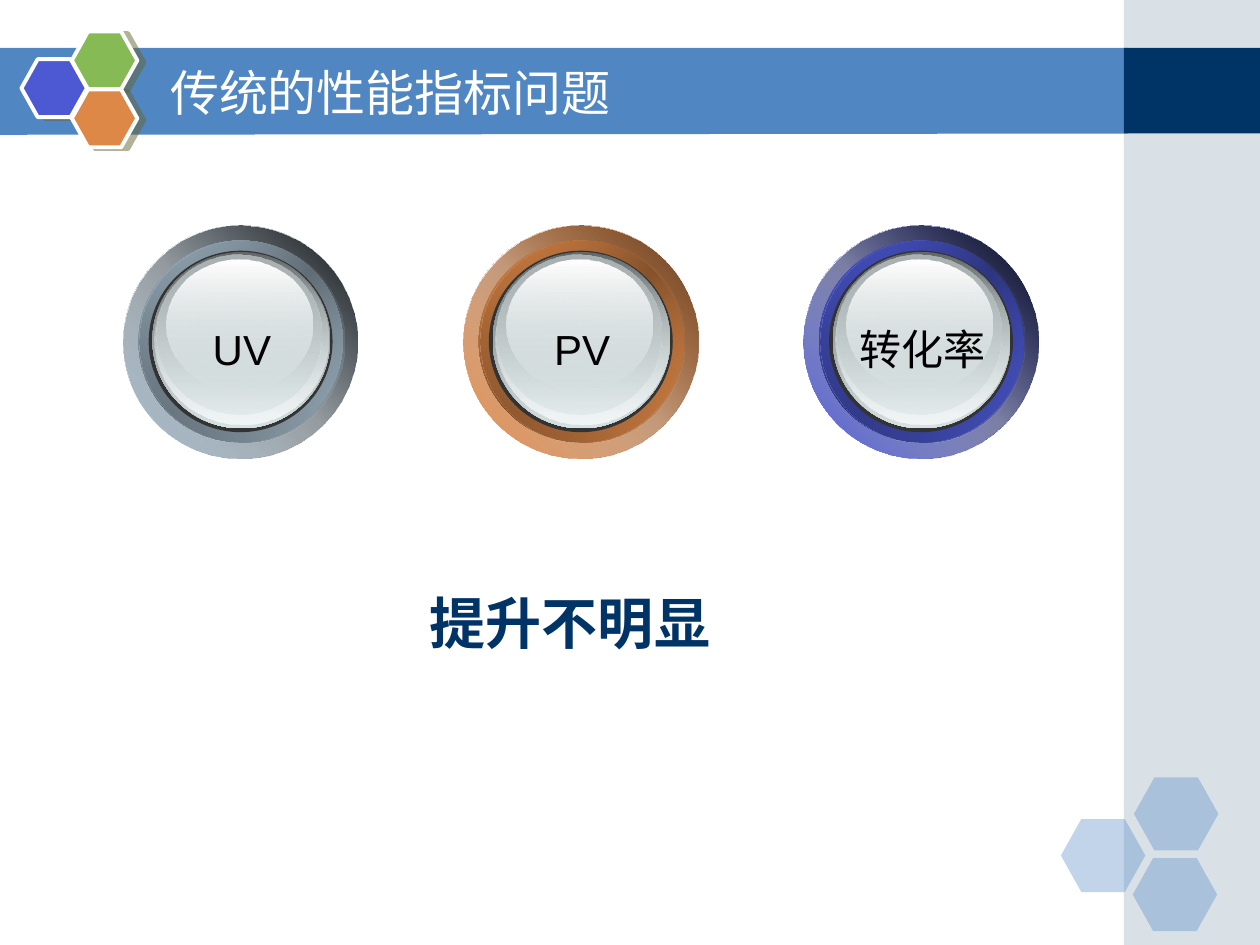
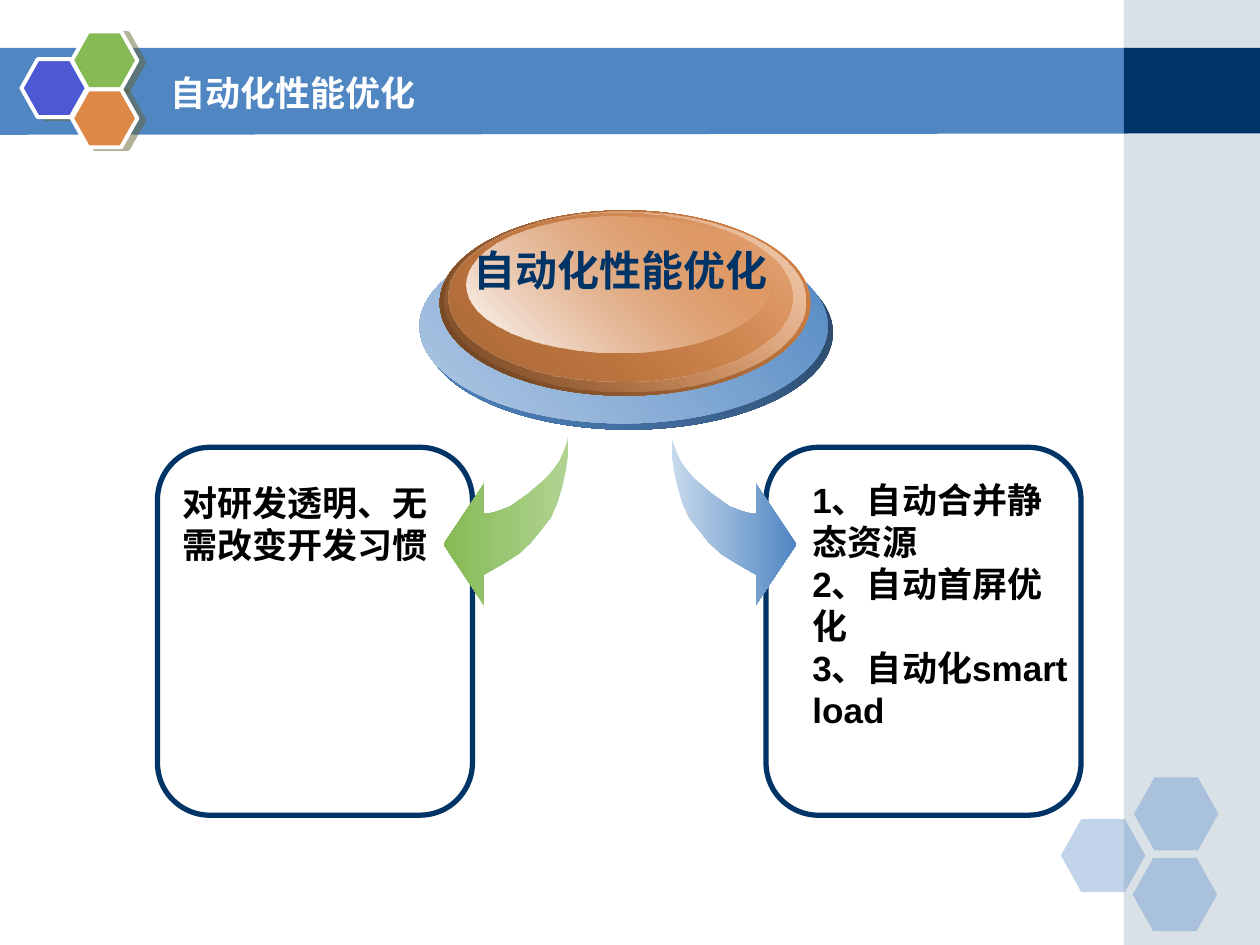
"""Builds two slides on web performance: weak old metrics and automatic tuning."""
import lxml.etree
import pptx
import pptx.dml.color
import pptx.enum.shapes
import pptx.enum.text
import pptx.oxml.ns
import pptx.util

PX = 9144
KIND = pptx.enum.shapes.MSO_SHAPE
ALIGN = pptx.enum.text.PP_ALIGN
ANCHOR = pptx.enum.text.MSO_ANCHOR
FIT = pptx.enum.text.MSO_AUTO_SIZE
qn = pptx.oxml.ns.qn

NAVY, BLUE, STEEL, WHITE, BLACK = "003366", "5086C2", "A0B5C4", "FFFFFF", "000000"
INDIGO, GREEN, ORANGE = "4C59D2", "85BA54", "DE8848"
RUST, GLASS = "673F21", "D6E1E2"

BAND = [(0, 38), (895, 38), (895, 106), (0, 107)]
SIDE = [((892, 0, 108, 750), (STEEL, 40)), ((892, 38, 108, 68), (NAVY, 100))]
FADED = [(842, 650), (900, 617), (899, 681)]
BADGE = [((17, 47), INDIGO), ((57, 25), GREEN), ((57, 71), ORANGE)]
TITLE = (125, 42, 733, 62)

METRICS = {
    "title": ("传统的性能指标问题", 28, False),
    "discs": [
        ("UV", STEEL, "57626A", "66737D", (BLACK, 90)),
        ("PV", ORANGE, "784A27", "8D562E", (RUST, 100)),
        ("转化率", INDIGO, "293072", "303985", (BLACK, 90)),
    ],
    "claim": "提升不明显",
}
TUNING = {
    "title": ("自动化性能优化", 20, True),
    "hub": "自动化性能优化",
    "boxes": [
        (125, (135, 377, 223, 77), ["对研发透明、无需改变开发习惯"]),
        (608, (635, 375, 223, 244),
         ["1、自动合并静态资源", "2、自动首屏优化", "3、自动化smart load"]),
    ],
}

DISC_LEFT, DISC_TOP, DISC_STEP = 98, 179, 270
LABEL = (34, 73, 120, 50)
LENS = [
    ((20, 20, 146, 144), ["333333"], 0),
    ((23, 21, 141, 140), ["636869", GLASS], 90),
    ((25, 22, 138, 136), [(GLASS, 0), "F1F5F5"], 90),
    ((26, 23, 131, 127), ["AAB2B3", (GLASS, 48)], 90),
    ((34, 27, 116, 103), [WHITE, (GLASS, 38)], 90),
]
HUB = [
    ((337, 187, 324, 154), ["27415E", BLUE]),
    ((333, 182, 324, 154), [BLUE, "B1C9E4"]),
    ((349, 167, 294, 147), [ORANGE, RUST]),
    ((353, 168, 286, 143), ["F3D5BF", (ORANGE, 0)]),
    ((356, 169, 273, 134), [(ORANGE, 48), "B06C39"]),
    ((370, 172, 240, 108), [(ORANGE, 38), WHITE]),
]
ARROW = [
    (451, 345), (451, 360), (449, 374), (446, 387), (442, 400), (437, 411),
    (429, 421), (421, 431), (411, 440), (398, 448), (384, 456), (384, 480),
    (352, 432), (384, 384), (384, 408), (391, 407), (397, 405), (405, 402),
    (412, 397), (419, 392), (426, 386), (433, 380), (439, 373), (444, 366),
    (447, 359), (450, 351),
]
MIRROR = 984


def hue(code):
    return pptx.dml.color.RGBColor.from_string(code)


def node(parent, tag, **attrs):
    return lxml.etree.SubElement(parent, qn(tag), {k: str(v) for k, v in attrs.items()})


def tint(parent, stop):
    code, alpha = (stop, 100) if isinstance(stop, str) else stop
    color = node(parent, "a:srgbClr", val=code)
    if alpha < 100:
        node(color, "a:alpha", val=alpha * 1000)


def paint(shape, stops, angle=0):
    shape.shadow.inherit = False
    shape.line.fill.background()
    if len(stops) == 1:
        shape.fill.solid()
        shape.fill.fore_color.rgb = hue(BLACK)
        fill = shape.element.spPr.find(qn("a:solidFill"))
        fill.clear()
        tint(fill, stops[0])
        return shape
    shape.fill.gradient()
    fill = shape.element.spPr.find(qn("a:gradFill"))
    fill.clear()
    ramp = node(fill, "a:gsLst")
    for i, stop in enumerate(stops):
        tint(node(ramp, "a:gs", pos=100000 * i // (len(stops) - 1)), stop)
    node(fill, "a:lin", ang=angle * 60000, scaled=0)
    return shape


def scale(box):
    return [PX * n for n in box]


def draw(slide, kind, box, stops, angle=0):
    return paint(slide.shapes.add_shape(kind, *scale(box)), stops, angle)


def trace(slide, points, stops, angle=0):
    pen = slide.shapes.build_freeform(*points[0], scale=PX)
    pen.add_line_segments(points[1:], close=True)
    return paint(pen.convert_to_shape(), stops, angle)


def write(frame, lines, size, color, bold=False, align=ALIGN.LEFT, face="Arial"):
    for i, line in enumerate(lines):
        para = frame.add_paragraph() if i else frame.paragraphs[0]
        para.alignment = align
        run = para.add_run()
        run.text = line
        font = run.font
        font.name, font.size, font.bold = face, pptx.util.Pt(size), bold
        font.color.rgb = hue(color)


def label(slide, box, lines, size, color, bold=False, align=ALIGN.LEFT, wrap=True):
    frame = slide.shapes.add_textbox(*scale(box)).text_frame
    frame.word_wrap = wrap
    frame.auto_size = FIT.SHAPE_TO_FIT_TEXT
    write(frame, lines, size, color, bold, align)


def hexagon(slide, spot, size, stop):
    shape = draw(slide, KIND.HEXAGON, (*spot, *size), [stop])
    shape.adjustments[0] = 0.28
    return shape


def dress(slide):
    parts = [trace(slide, BAND, [BLUE])]
    parts += [draw(slide, KIND.RECTANGLE, box, [stop]) for box, stop in SIDE]
    parts += [hexagon(slide, spot, (67, 58), (BLUE, 35)) for spot in FADED]
    for spot, color in BADGE:
        shape = hexagon(slide, spot, (52, 46), color)
        shape.line.color.rgb = hue(WHITE)
        shape.line.width = pptx.util.Pt(2.25)
        effect = shape.element.spPr.find(qn("a:effectLst"))
        tint(node(effect, "a:outerShdw", dist=52070, dir=14 * 60000), ("666633", 50))
        parts.append(shape)
    tree = slide.slide_layout.shapes.element
    for i, part in enumerate(parts):
        part.element.nvSpPr.cNvPr.id = 100 + i
        tree.append(part.element)


def start(deck, title):
    slide = deck.slides.add_slide(deck.slide_layouts[5])
    text, size, bold = title
    head = slide.shapes.title
    head.left, head.top, head.width, head.height = scale(TITLE)
    frame = head.text_frame
    frame.auto_size = FIT.NONE
    frame.vertical_anchor = ANCHOR.MIDDLE
    write(frame, [text], size, WHITE, bold, face="DejaVu Sans")
    return slide


def disc(slide, left, text, base, mid, dark, shade):
    rings = [
        ((0, 0, 186, 185), [base, WHITE, base], 135),
        ((0, 0, 186, 185), [shade, (base, 32)], 135),
        ((12, 12, 162, 160), [base, mid, base], 225),
        ((13, 12, 162, 160), [(base, 0), dark], 135),
    ]
    for (x, y, w, h), stops, angle in rings + LENS:
        draw(slide, KIND.OVAL, (left + x, DISC_TOP + y, w, h), stops, angle)
    x, y, w, h = LABEL
    box = (left + x, DISC_TOP + y, w, h)
    label(slide, box, [text], 24, BLACK, align=ALIGN.CENTER, wrap=False)


def metrics(slide):
    for i, item in enumerate(METRICS["discs"]):
        disc(slide, DISC_LEFT + i * DISC_STEP, *item)
    label(slide, (114, 462, 677, 64), [METRICS["claim"]], 32, NAVY, True, ALIGN.CENTER)


def tuning(slide):
    for left, box, lines in TUNING["boxes"]:
        card = slide.shapes.add_shape(KIND.ROUNDED_RECTANGLE, *scale((left, 355, 250, 292)))
        card.shadow.inherit = False
        card.fill.background()
        card.line.color.rgb = hue(NAVY)
        card.line.width = pptx.util.Pt(3)
        label(slide, box, lines, 20, BLACK, True)
    trace(slide, ARROW, ["B1D392", GREEN], 180)
    trace(slide, [(MIRROR - x, y) for x, y in ARROW], ["C7D9EC", BLUE])
    for box, stops in HUB:
        draw(slide, KIND.OVAL, box, stops, 135)
    label(slide, (366, 189, 253, 50), [TUNING["hub"]], 24, NAVY, True, ALIGN.CENTER, False)


def main():
    deck = pptx.Presentation()
    deck.slide_width, deck.slide_height = scale((1000, 750))
    first = start(deck, METRICS["title"])
    dress(first)
    metrics(first)
    tuning(start(deck, TUNING["title"]))
    deck.save("out.pptx")


if __name__ == "__main__":
    main()
